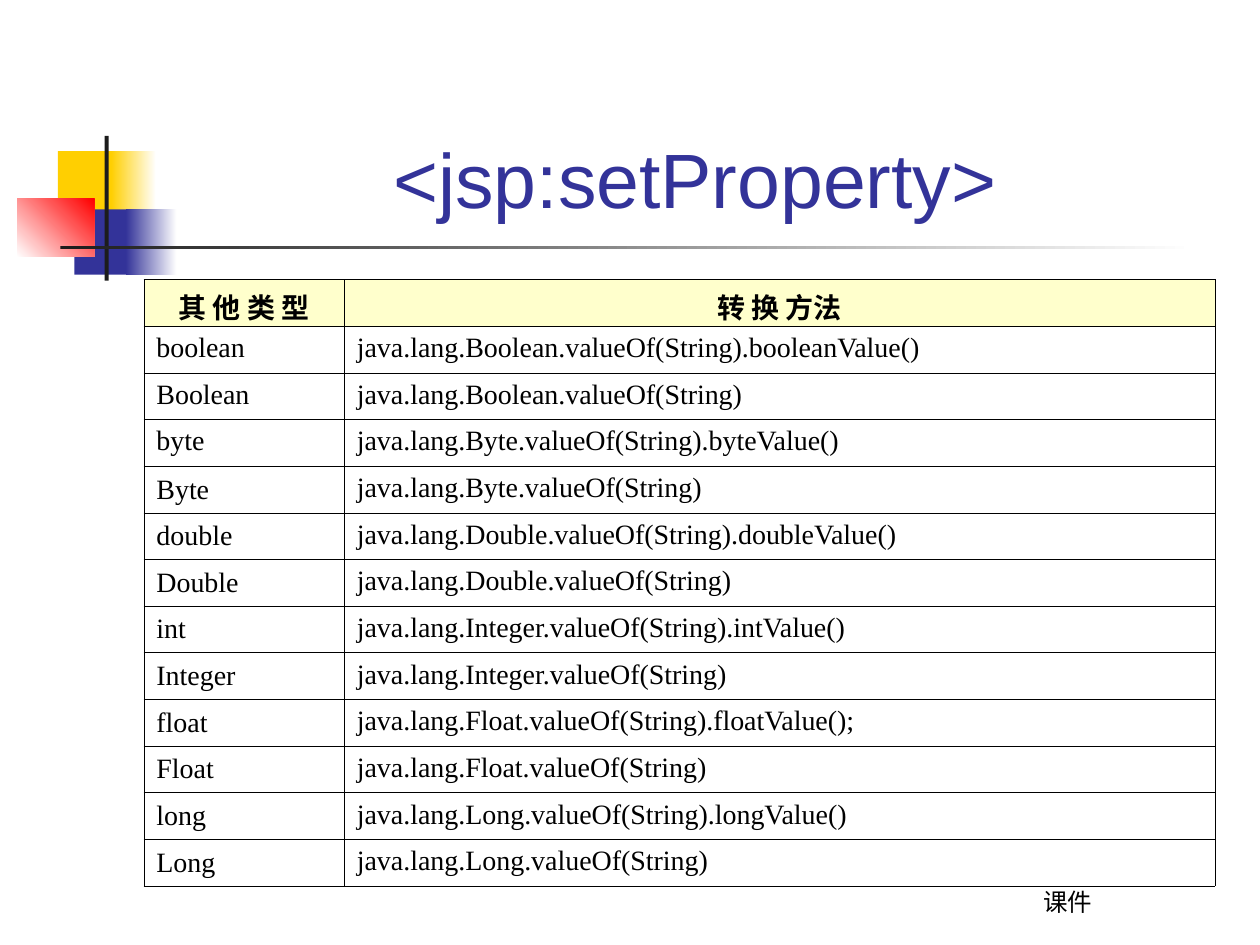
"""Build the slide on type conversion in <jsp:setProperty>."""
from dataclasses import dataclass
from typing import Optional

from lxml import etree
from pptx import Presentation
from pptx.dml.color import RGBColor
from pptx.enum.shapes import MSO_SHAPE
from pptx.enum.text import MSO_ANCHOR, PP_ALIGN
from pptx.oxml.ns import qn
from pptx.util import Cm, Pt

RECT = MSO_SHAPE.RECTANGLE
TOP, MID, LOW = MSO_ANCHOR.TOP, MSO_ANCHOR.MIDDLE, MSO_ANCHOR.BOTTOM
LEFT, CENTER = PP_ALIGN.LEFT, PP_ALIGN.CENTER


@dataclass(frozen=True)
class Theme:
    """Colours, fonts and sizes of the slide."""
    white: str = "FFFFFF"
    black: str = "000000"
    gold: str = "FFCF01"
    blue: str = "333399"
    red: str = "FF0000"
    dark: str = "1C1C1C"
    cream: str = "FFFFCC"
    title_font: str = "Arial"
    table_font: str = "Times New Roman"
    note_font: str = "Cabin"
    title_size: float = 44
    table_size: float = 16
    note_size: float = 14
    border: float = 0.45


@dataclass(frozen=True)
class Box:
    """A place on the slide in centimetres."""
    left: float
    top: float
    width: float
    height: float

    def area(self) -> tuple:
        """Return the place as lengths."""
        return Cm(self.left), Cm(self.top), Cm(self.width), Cm(self.height)


@dataclass(frozen=True)
class Block:
    """A filled rectangle, fading to a second colour if one is given."""
    box: Box
    color: str
    fade: Optional[str] = None
    angle: float = 0


@dataclass(frozen=True)
class Label:
    """A line of text with its place and look."""
    box: Box
    text: str
    font: str
    size: float
    color: str


THEME = Theme()
BLOCKS = [
    Block(Box(1.17, 3.05, 1.22, 1.32), THEME.gold),
    Block(Box(2.24, 3.05, 0.91, 1.32), THEME.gold, THEME.white),
    Block(Box(1.5, 4.22, 1.17, 1.32), THEME.blue),
    Block(Box(2.54, 4.22, 1.02, 1.32), THEME.blue, THEME.white),
    Block(Box(0.35, 4.01, 1.55, 1.17), THEME.white, THEME.red, 45),
    Block(Box(2.11, 2.74, 0.08, 2.92), THEME.dark),
    Block(Box(1.22, 4.95, 22.86, 0.08), THEME.dark, THEME.white),
]
LABELS = [
    Label(Box(17.5, 17.32, 8.05, 1.27), "课件",
          THEME.note_font, THEME.note_size, THEME.black),
    Label(Box(3.2, 0.58, 21.64, 4.06), "<jsp:setProperty>",
          THEME.title_font, THEME.title_size, THEME.blue),
]
GRID = Box(2.9, 5.64, 21.59, 12.22)
COLS = (4.04, 17.55)
HANG = Cm(0.97)
HIGH_ROWS = 3
ROWS = [
    ("其 他 类 型", "转 换 方法"),
    ("boolean", "java.lang.Boolean.valueOf(String).booleanValue()"),
    ("Boolean", "java.lang.Boolean.valueOf(String)"),
    ("byte", "java.lang.Byte.valueOf(String).byteValue()"),
    ("Byte", "java.lang.Byte.valueOf(String)"),
    ("double", "java.lang.Double.valueOf(String).doubleValue()"),
    ("Double", "java.lang.Double.valueOf(String)"),
    ("int", "java.lang.Integer.valueOf(String).intValue()"),
    ("Integer", "java.lang.Integer.valueOf(String)"),
    ("float", "java.lang.Float.valueOf(String).floatValue();"),
    ("Float", "java.lang.Float.valueOf(String)"),
    ("long", "java.lang.Long.valueOf(String).longValue()"),
    ("Long", "java.lang.Long.valueOf(String)"),
]


def rgb(color: str) -> RGBColor:
    """Turn a hex string into a colour."""
    return RGBColor.from_string(color)


def style(para, text: str, font: str, size: float, color: str) -> None:
    """Write text into a paragraph and set its font."""
    para.text = text
    para.font.name = font
    para.font.size = Pt(size)
    para.font.color.rgb = rgb(color)


def draw_block(slide, block: Block) -> None:
    """Draw one rectangle of the ornament."""
    shape = slide.shapes.add_shape(RECT, *block.box.area())
    shape.shadow.inherit = False
    shape.line.fill.background()
    if block.fade is None:
        shape.fill.solid()
        shape.fill.fore_color.rgb = rgb(block.color)
        return
    shape.fill.gradient()
    shape.fill.gradient_angle = block.angle
    for stop, color in zip(shape.fill.gradient_stops, (block.color, block.fade)):
        stop.color.rgb = rgb(color)


def draw_label(slide, label: Label) -> None:
    """Draw one centred text box set on its base."""
    frame = slide.shapes.add_textbox(*label.box.area()).text_frame
    frame.word_wrap = True
    frame.vertical_anchor = LOW
    para = frame.paragraphs[0]
    style(para, label.text, label.font, label.size, label.color)
    para.alignment = CENTER


def add_border(cell) -> None:
    """Rule all four sides of a cell."""
    props = cell._tc.get_or_add_tcPr()
    for side in ("a:lnL", "a:lnR", "a:lnT", "a:lnB"):
        line = etree.SubElement(props, qn(side), w=str(Pt(THEME.border)))
        fill = etree.SubElement(line, qn("a:solidFill"))
        etree.SubElement(fill, qn("a:srgbClr"), val=THEME.black)


def fill_cell(cell, text: str, head: bool, anchor) -> None:
    """Write and style one table cell."""
    add_border(cell)
    if head:
        cell.fill.solid()
        cell.fill.fore_color.rgb = rgb(THEME.cream)
    else:
        cell.fill.background()
    cell.vertical_anchor = anchor
    para = cell.text_frame.paragraphs[0]
    style(para, text, THEME.table_font, THEME.table_size, THEME.black)
    para.font.bold = head
    para.alignment = CENTER if head else LEFT
    props = para._p.get_or_add_pPr()
    props.set("marL", str(HANG))
    props.set("indent", str(-HANG))


def draw_table(slide) -> None:
    """Draw the table of types and their conversions."""
    table = slide.shapes.add_table(len(ROWS), len(COLS), *GRID.area()).table
    table.first_row = table.horz_banding = False
    for col, width in zip(table.columns, COLS):
        col.width = Cm(width)
    for r, texts in enumerate(ROWS):
        table.rows[r].height = Cm(GRID.height / len(ROWS))
        for c, text in enumerate(texts):
            anchor = MID if c == 0 and r > HIGH_ROWS else TOP
            fill_cell(table.cell(r, c), text, r == 0, anchor)


def main() -> None:
    """Build and save the slide."""
    deck = Presentation()
    deck.slide_width, deck.slide_height = Cm(25.4), Cm(19.05)
    slide = deck.slides.add_slide(deck.slide_layouts[6])
    for block in BLOCKS:
        draw_block(slide, block)
    for label in LABELS:
        draw_label(slide, label)
    draw_table(slide)
    deck.save("out.pptx")


if __name__ == "__main__":
    main()
